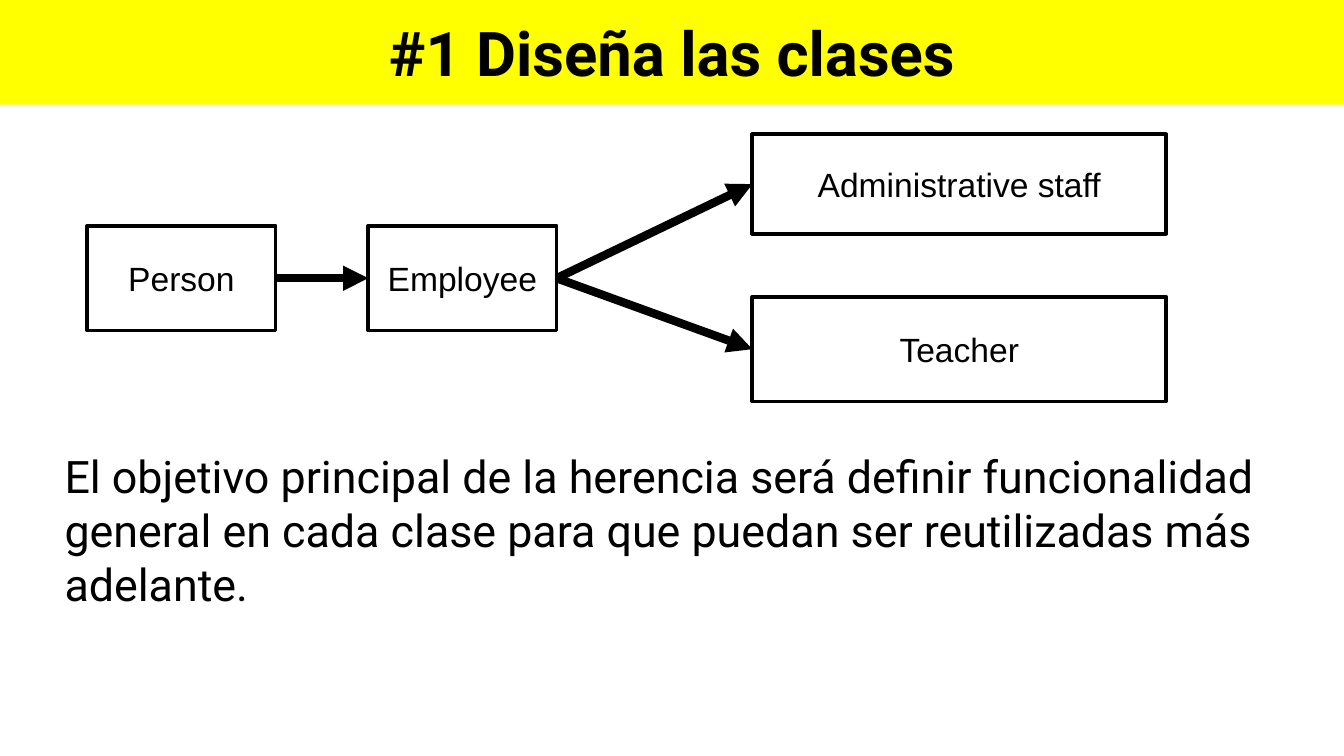
"""Build a slide showing a class inheritance diagram under a yellow title band."""
from dataclasses import dataclass

from lxml.etree import SubElement
from pptx import Presentation
from pptx.dml.color import RGBColor as RGB
from pptx.enum.shapes import MSO_CONNECTOR as Connector, MSO_SHAPE as Shape
from pptx.enum.text import MSO_ANCHOR as Anchor, PP_ALIGN as Align
from pptx.oxml.ns import qn
from pptx.util import Cm, Pt

TITLE = "#1 Diseña las clases"
GOAL = (
    "El objetivo principal de la herencia será definir funcionalidad general "
    "en cada clase para que puedan ser reutilizadas más adelante."
)
CLASSES = {
    "Person": (1.65, 4.27, 3.56, 1.98),
    "Employee": (6.96, 4.27, 3.56, 1.98),
    "Administrative staff": (14.22, 2.54, 7.82, 1.88),
    "Teacher": (14.22, 5.61, 7.82, 1.98),
}
INHERITANCE = [
    ("Person", "Employee"),
    ("Employee", "Administrative staff"),
    ("Employee", "Teacher"),
]
SLIDE_SIZE = (25.4, 14.29)
TITLE_BAND = (0, 0, 25.4, 1.98)
GOAL_AREA = (0.97, 8.36, 24.43, 3.33)
LEFT_SIDE, RIGHT_SIDE = 1, 3


@dataclass(frozen=True)
class Theme:
    ink: RGB = RGB(0, 0, 0)
    paper: RGB = RGB(255, 255, 255)
    band: RGB = RGB(255, 255, 0)
    heading_font: str = "Roboto"
    label_font: str = "Arial"
    title_size: int = 33
    goal_size: int = 24
    label_size: int = 18
    border: float = 2
    arrow: float = 4.5


THEME = Theme()


def write(holder, text, font, size, align=Align.CENTER, bold=False, wrap=True):
    frame = holder.text_frame
    frame.word_wrap = wrap
    paragraph = frame.paragraphs[0]
    paragraph.text = text
    paragraph.alignment = align
    paragraph.font.name = font
    paragraph.font.size = Pt(size)
    paragraph.font.bold = bold
    paragraph.font.color.rgb = THEME.ink


def add_box(slide, area, fill, border=None):
    box = slide.shapes.add_shape(Shape.RECTANGLE, *map(Cm, area))
    box.shadow.inherit = False
    box.fill.solid()
    box.fill.fore_color.rgb = fill
    if border:
        box.line.color.rgb = THEME.ink
        box.line.width = Pt(border)
    else:
        box.line.fill.background()
    box.text_frame.vertical_anchor = Anchor.MIDDLE
    return box


def add_arrow(slide, parent, child):
    arrow = slide.shapes.add_connector(Connector.STRAIGHT, 0, 0, 0, 0)
    arrow.begin_connect(parent, RIGHT_SIDE)
    arrow.end_connect(child, LEFT_SIDE)
    arrow.line.color.rgb = THEME.ink
    arrow.line.width = Pt(THEME.arrow)
    SubElement(arrow.line._get_or_add_ln(), qn("a:tailEnd"), type="triangle")
    SubElement(arrow._element.spPr, qn("a:effectLst"))


def main():
    deck = Presentation()
    deck.slide_width, deck.slide_height = map(Cm, SLIDE_SIZE)
    slide = deck.slides.add_slide(deck.slide_layouts[6])

    title = add_box(slide, TITLE_BAND, THEME.band)
    write(title, TITLE, THEME.heading_font, THEME.title_size, bold=True)

    goal = slide.shapes.add_textbox(*map(Cm, GOAL_AREA))
    write(goal, GOAL, THEME.heading_font, THEME.goal_size, Align.LEFT)

    classes = {}
    for name, area in CLASSES.items():
        classes[name] = add_box(slide, area, THEME.paper, THEME.border)
        write(classes[name], name, THEME.label_font, THEME.label_size, wrap=False)

    for parent, child in INHERITANCE:
        add_arrow(slide, classes[parent], classes[child])

    deck.save("out.pptx")


if __name__ == "__main__":
    main()
